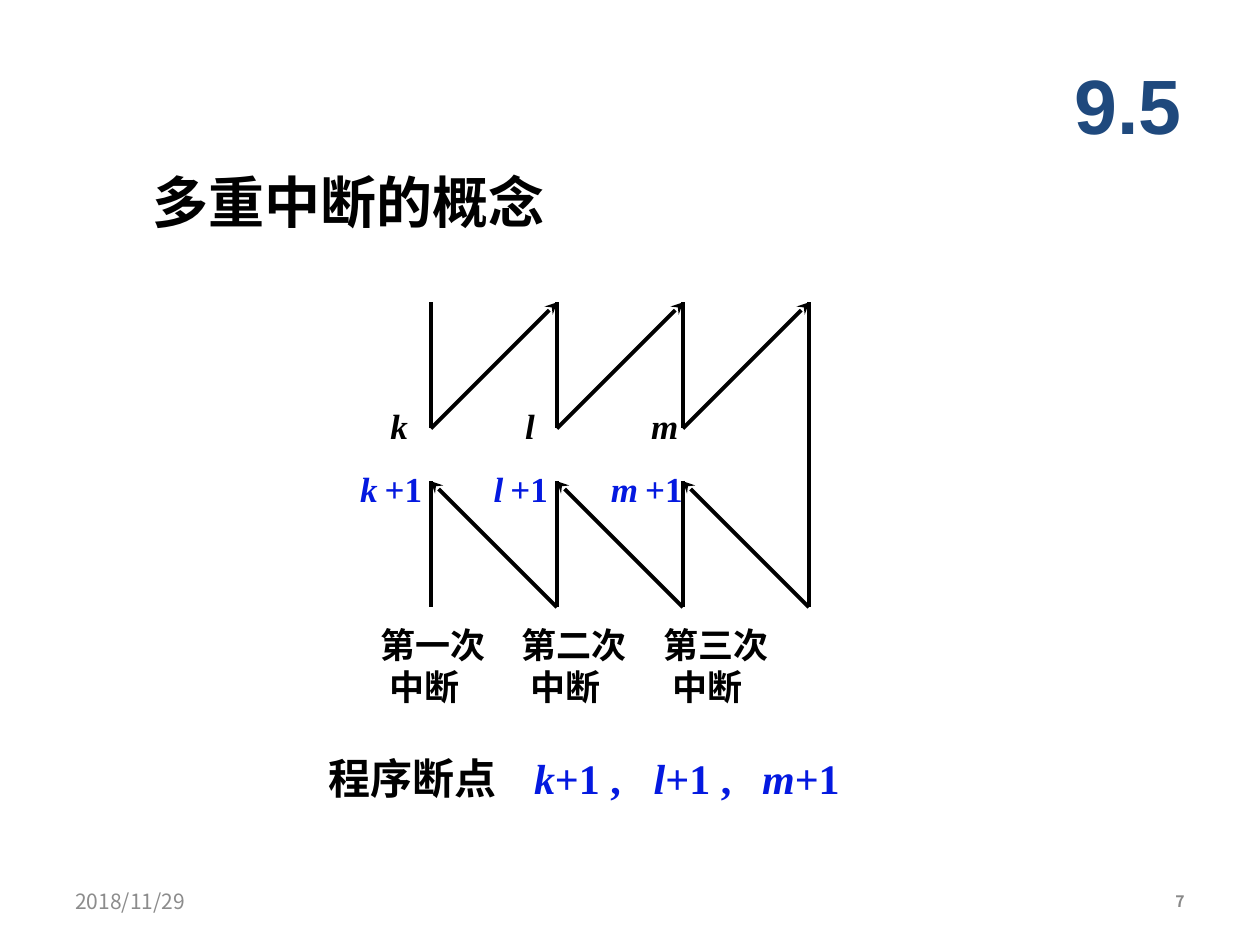
from dataclasses import dataclass

from lxml import etree
from pptx import Presentation
from pptx.dml.color import RGBColor
from pptx.enum.shapes import MSO_CONNECTOR
from pptx.enum.text import MSO_ANCHOR, MSO_AUTO_SIZE, PP_ALIGN
from pptx.oxml.ns import qn
from pptx.util import Inches, Pt

STRAIGHT = MSO_CONNECTOR.STRAIGHT
TOP, MIDDLE = MSO_ANCHOR.TOP, MSO_ANCHOR.MIDDLE
FIXED, GROW = MSO_AUTO_SIZE.NONE, MSO_AUTO_SIZE.SHAPE_TO_FIT_TEXT
LEFT, CENTER, RIGHT = PP_ALIGN.LEFT, PP_ALIGN.CENTER, PP_ALIGN.RIGHT

COLORS = {
    "ink": "000000",
    "return": "0419E0",
    "section": "1F497D",
    "date": "8C8C8C",
    "number": "898989",
}
SERIF, SANS, CHINESE = "Times New Roman", "Arial", "Noto Sans CJK SC"

FIRST_COLUMN, COLUMN_STEP = 3.42, 1.0
CALL_TOP, CALL_BOTTOM = 2.4, 3.4
RETURN_TOP, RETURN_BOTTOM = 3.82, 4.82


@dataclass
class Run:
    text: str
    color: str = "ink"
    italic: bool = False
    size: float | None = None


@dataclass
class Interrupt:
    letter: str
    ordinal: str
    letter_box: tuple[float, float]
    return_box: tuple[float, float]
    caption_left: float


INTERRUPTS = [
    Interrupt("k", "第一次", (3.0, 0.34), (2.76, 0.69), 2.92),
    Interrupt("l", "第二次", (4.07, 0.28), (3.82, 0.63), 4.04),
    Interrupt("m", "第三次", (5.07, 0.42), (4.75, 0.77), 5.17),
]


def write_text(shape, paragraphs: list[list[Run]], *, size: float, font: str = SERIF,
               bold: bool = True, align=LEFT, anchor=TOP, wrap: bool = False,
               auto_size=GROW, inset: bool = True, indents: tuple = (),
               tabs: tuple = ()) -> None:
    frame = shape.text_frame
    frame.auto_size = auto_size
    frame.word_wrap = wrap
    frame.vertical_anchor = anchor
    frame.margin_left = frame.margin_right = Inches(0.1 if inset else 0)
    frame.margin_top = frame.margin_bottom = Inches(0.05 if inset else 0)
    for index, runs in enumerate(paragraphs):
        paragraph = frame.paragraphs[0] if index == 0 else frame.add_paragraph()
        paragraph.alignment = align
        properties = paragraph._p.get_or_add_pPr()
        if indents:
            properties.set("marL", str(Inches(indents[index])))
        if tabs:
            tab_list = etree.SubElement(properties, qn("a:tabLst"))
            for position in tabs:
                etree.SubElement(tab_list, qn("a:tab"), pos=str(Inches(position)), algn="l")
        for piece in runs:
            run = paragraph.add_run()
            run.text = piece.text
            run.font.name = font
            run.font.size = Pt(piece.size or size)
            run.font.bold = bold
            run.font.italic = piece.italic
            run.font.color.rgb = RGBColor.from_string(COLORS[piece.color])


def add_text(slide, left: float, top: float, width: float, height: float,
             paragraphs: list[list[Run]], **text_format) -> None:
    shape = slide.shapes.add_textbox(Inches(left), Inches(top), Inches(width), Inches(height))
    write_text(shape, paragraphs, **text_format)


def add_line(slide, start: tuple[float, float], end: tuple[float, float],
             arrow: bool = False) -> None:
    line = slide.shapes.add_connector(STRAIGHT, *map(Inches, start + end))
    line.line.color.rgb = RGBColor.from_string(COLORS["ink"])
    line.line.width = Pt(2.25)
    if arrow:
        etree.SubElement(line.line._get_or_add_ln(), qn("a:tailEnd"), type="stealth")
    etree.SubElement(line._element.spPr, qn("a:effectLst"))


def add_interrupt(slide, index: int, interrupt: Interrupt) -> None:
    x = FIRST_COLUMN + index * COLUMN_STEP
    next_x = x + COLUMN_STEP
    add_line(slide, (x, CALL_TOP), (x, CALL_BOTTOM))
    add_line(slide, (x, CALL_BOTTOM), (next_x, CALL_TOP), arrow=True)
    add_line(slide, (next_x, RETURN_BOTTOM), (x, RETURN_TOP), arrow=True)
    add_line(slide, (x, RETURN_TOP), (x, RETURN_BOTTOM))

    left, width = interrupt.letter_box
    add_text(slide, left, 3.16, width, 0.43, [[Run(interrupt.letter, italic=True)]], size=20)
    left, width = interrupt.return_box
    label = [Run(interrupt.letter, "return", True), Run(" ", "return", size=16),
             Run("+1", "return")]
    add_text(slide, left, 3.66, width, 0.43, [label], size=20)
    add_text(slide, interrupt.caption_left, 4.9, 1.04, 0.77,
             [[Run(interrupt.ordinal)], [Run("中断")]], size=20, indents=(0, 0.07))


def add_breakpoints(slide) -> None:
    runs = [Run("程序断点")]
    separator = "\t"
    for interrupt in INTERRUPTS:
        runs += [Run(separator, "return"), Run(interrupt.letter, "return", True),
                 Run("+1", "return")]
        separator = " ,\t"
    add_text(slide, 2.51, 5.92, 4.82, 0.5, [runs], size=24, wrap=True,
             tabs=(1.63, 2.58, 3.44))


def main() -> None:
    presentation = Presentation()
    presentation.slide_width, presentation.slide_height = Inches(10), Inches(7.5)
    slide = presentation.slides.add_slide(presentation.slide_layouts[5])

    title = slide.shapes.title
    title.left, title.top = Inches(1.21), Inches(1.36)
    title.width, title.height = Inches(3.54), Inches(0.47)
    write_text(title, [[Run("多重中断的概念")]], size=32, anchor=MIDDLE,
               auto_size=FIXED, inset=False)

    for index, interrupt in enumerate(INTERRUPTS):
        add_interrupt(slide, index, interrupt)
    last_x = FIRST_COLUMN + len(INTERRUPTS) * COLUMN_STEP
    add_line(slide, (last_x, CALL_TOP), (last_x, RETURN_BOTTOM))
    add_breakpoints(slide)

    fixed_box = {"anchor": MIDDLE, "wrap": True, "auto_size": FIXED}
    add_text(slide, 0.5, 6.95, 2.33, 0.4, [[Run("2018/11/29", "date")]],
             size=12, font=CHINESE, bold=False, **fixed_box)
    add_text(slide, 7.17, 6.95, 2.33, 0.4, [[Run("7", "number")]],
             size=9, font=CHINESE, align=RIGHT, **fixed_box)
    add_text(slide, 8.33, 0.36, 1.25, 0.92, [[Run("9.5", "section")]],
             size=44, font=SANS, align=CENTER, **fixed_box)

    presentation.save("out.pptx")


if __name__ == "__main__":
    main()
